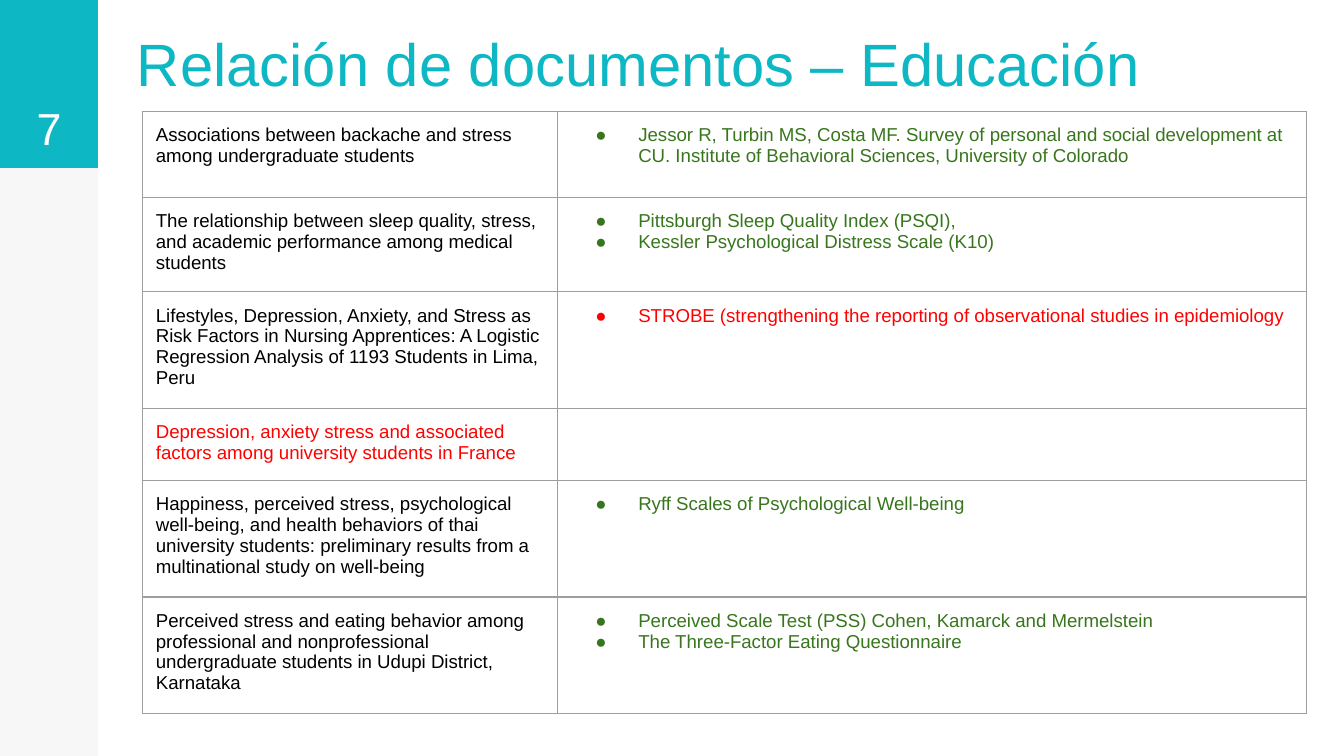
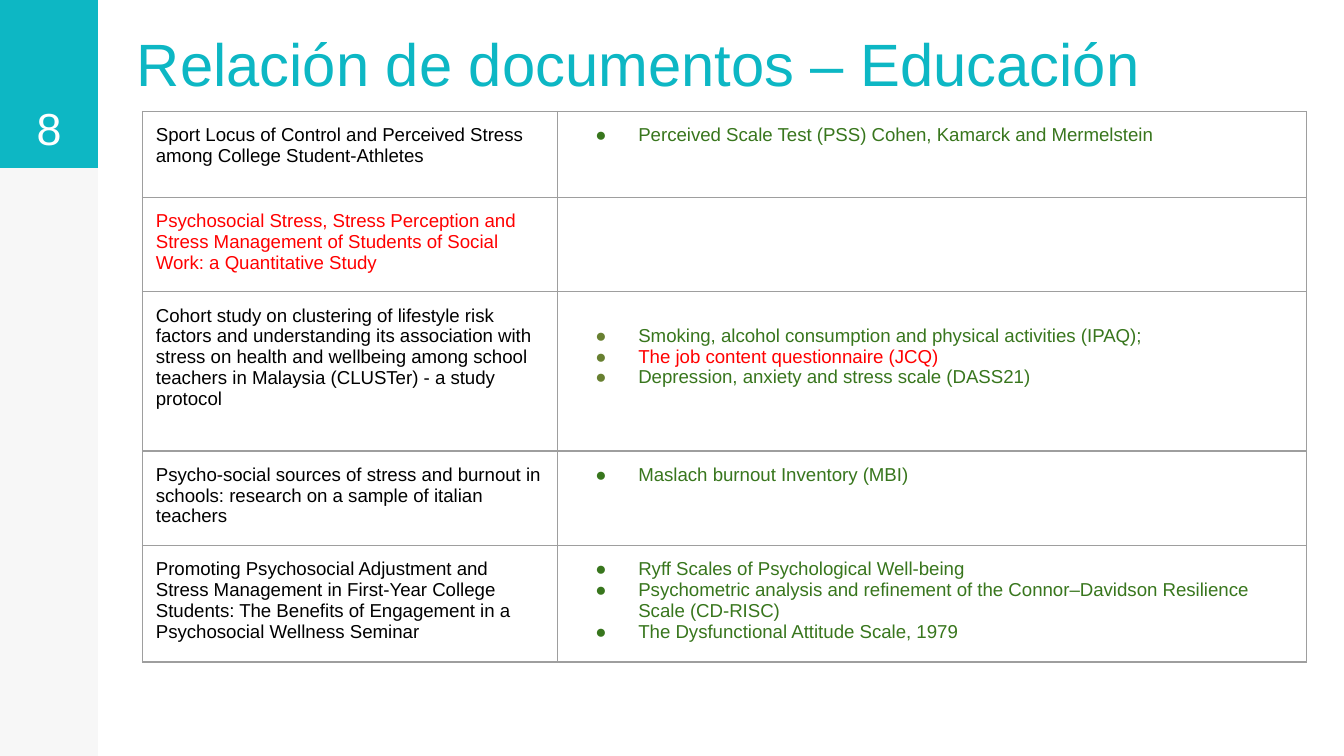
from pptx import Presentation
from pptx.dml.color import RGBColor
from pptx.enum.shapes import MSO_SHAPE as Shape
from pptx.enum.text import MSO_ANCHOR as Anchor, PP_ALIGN as Align
from pptx.oxml import parse_xml
from pptx.oxml.ns import nsdecls
from pptx.util import Inches, Pt

TEAL = RGBColor(0x0D, 0xB7, 0xC4)
BLACK = RGBColor(0x00, 0x00, 0x00)
WHITE = RGBColor(0xFF, 0xFF, 0xFF)
GREEN = RGBColor(0x38, 0x76, 0x1D)
OLIVE = RGBColor(0x68, 0x80, 0x31)
RED = RGBColor(0xFF, 0x00, 0x00)
GRAY = RGBColor(0x9E, 0x9E, 0x9E)

FONT = "Arial"
TITLE = "Relación de documentos – Educación"
WIDTH = 10
HEIGHT = WIDTH * 9 / 16
SIDE = (0, 0, 0.73, HEIGHT)
BADGE = (0, 0, 0.73, 1.25)
HEAD = (0.92, 0.09, 8.19, 0.74)
GRID = (1.06, 0.83, 8.65)
COLS = (3.09, 5.57)
ROWS = (0.64, 0.62, 0.47, 0.28, 0.28, 0.28)
INSET = 0.1
LINE = 0.15

STROBE = "STROBE (strengthening the reporting of observational studies in epidemiology"
JCQ = "The job content questionnaire (JCQ)"
PSS = "Perceived Scale Test (PSS) Cohen, Kamarck and Mermelstein"
RYFF = "Ryff Scales of Psychological Well-being"
ALERTS = {STROBE, JCQ}
COHORT = (
    "Cohort study on clustering of lifestyle risk factors and understanding its association "
    "with stress on health and wellbeing among school teachers in Malaysia (CLUSTer) - a study protocol"
)

PAGES = {
    7: (4.47, [
        ("Associations between backache and stress among undergraduate students",
         ["Jessor R, Turbin MS, Costa MF. Survey of personal and social development at CU. "
          "Institute of Behavioral Sciences, University of Colorado"]),
        ("The relationship between sleep quality, stress, and academic performance "
         "among medical students",
         ["Pittsburgh Sleep Quality Index (PSQI),",
          "Kessler Psychological Distress Scale (K10)"]),
        ("Lifestyles, Depression, Anxiety, and Stress as Risk Factors in Nursing "
         "Apprentices: A Logistic Regression Analysis of 1193 Students in Lima, Peru",
         [STROBE]),
        ("Depression, anxiety stress and associated factors among university "
         "students in France", []),
        ("Happiness, perceived stress, psychological well-being, and health behaviors "
         "of thai university students: preliminary results from a multinational study "
         "on well-being", [RYFF]),
        ("Perceived stress and eating behavior among professional and nonprofessional "
         "undergraduate students in Udupi District, Karnataka",
         [PSS, "The Three-Factor Eating Questionnaire"]),
    ]),
    8: (4.1, [
        ("Sport Locus of Control and Perceived Stress among College Student-Athletes",
         [PSS]),
        ("Psychosocial Stress, Stress Perception and Stress Management of Students "
         "of Social Work: a Quantitative Study", []),
        (COHORT,
         ["Smoking, alcohol consumption and physical activities (IPAQ);", JCQ,
          "Depression, anxiety and stress scale (DASS21)"]),
        ("Psycho-social sources of stress and burnout in schools: research on a sample "
         "of italian teachers", ["Maslach burnout Inventory (MBI)"]),
        ("Promoting Psychosocial Adjustment and Stress Management in First-Year College "
         "Students: The Benefits of Engagement in a Psychosocial Wellness Seminar",
         [RYFF,
          "Psychometric analysis and refinement of the Connor–Davidson Resilience Scale (CD-RISC)",
          "The Dysfunctional Attitude Scale, 1979"]),
    ]),
}


def style(para, size, color):
    font = para.font
    font.name, font.size = FONT, Pt(size)
    font.color.rgb = color


def add_band(slide, box, color, alpha=None):
    band = slide.shapes.add_shape(Shape.RECTANGLE, *map(Inches, box))
    band.shadow.inherit = False
    band.line.fill.background()
    band.fill.solid()
    band.fill.fore_color.rgb = color
    if alpha:
        tint = band.fill._xPr.find(".//{*}srgbClr")
        tint.append(parse_xml(f'<a:alpha {nsdecls("a")} val="{alpha * 1000}"/>'))


def add_label(slide, box, text, size, color, align=Align.LEFT):
    frame = slide.shapes.add_textbox(*map(Inches, box)).text_frame
    frame.word_wrap = True
    frame.vertical_anchor = Anchor.BOTTOM
    frame.margin_left = frame.margin_right = Inches(INSET)
    frame.margin_top = frame.margin_bottom = Inches(INSET)
    para = frame.paragraphs[0]
    para.text, para.alignment = text, align
    style(para, size, color)


def add_dot(para, color):
    props = para._p.get_or_add_pPr()
    props.set("marL", str(Inches(0.5)))
    props.set("indent", str(Inches(-0.32)))
    tags = (
        f'<a:buClr {nsdecls("a")}><a:srgbClr val="{color}"/></a:buClr>',
        f'<a:buFont {nsdecls("a")} typeface="{FONT}"/>',
        f'<a:buChar {nsdecls("a")} char="●"/>',
    )
    for spot, tag in enumerate(tags):
        props.insert(spot, parse_xml(tag))


def frame_cell(cell):
    props = cell._tc.get_or_add_tcPr()
    for side in "LRTB":
        props.append(parse_xml(
            f'<a:ln{side} {nsdecls("a")} w="{Pt(0.75)}"><a:solidFill>'
            f'<a:srgbClr val="{GRAY}"/></a:solidFill></a:ln{side}>'))
    cell.fill.background()
    cell.margin_left = cell.margin_right = Inches(INSET)
    cell.margin_top = cell.margin_bottom = Inches(INSET)


def fill_cell(cell, lines, colors, dots=None):
    frame_cell(cell)
    frame = cell.text_frame
    frame.text = "\n".join(lines)
    for para, color in zip(frame.paragraphs, colors):
        style(para, 10, color)
        if dots:
            add_dot(para, dots if dots == OLIVE else color)


def add_grid(slide, box, rows):
    shape = slide.shapes.add_table(len(rows), 2, *map(Inches, box))
    table = shape.table
    table.first_row = table.horz_banding = False
    for col, width in zip(table.columns, COLS):
        col.width = Inches(width)
    for index, (study, scales) in enumerate(rows):
        table.rows[index].height = Inches(ROWS[index])
        left, right = table.cell(index, 0), table.cell(index, 1)
        fill_cell(left, [study], [BLACK if scales else RED])
        colors = [RED if scale in ALERTS else GREEN for scale in scales] or [BLACK]
        dots = OLIVE if study == COHORT else GREEN
        fill_cell(right, scales, colors, dots if scales else None)
        if study == COHORT:
            left.margin_bottom = right.margin_top = Inches(INSET + LINE)
    shape.width, shape.height = map(Inches, box[2:])


def add_page(deck, number, height, rows):
    slide = deck.slides.add_slide(deck.slide_layouts[6])
    add_band(slide, SIDE, BLACK, 3)
    add_band(slide, BADGE, TEAL)
    add_label(slide, BADGE, str(number), 24, WHITE, Align.CENTER)
    add_label(slide, HEAD, TITLE, 32, TEAL)
    add_grid(slide, (*GRID, height), rows)


def main():
    deck = Presentation()
    deck.slide_width, deck.slide_height = Inches(WIDTH), Inches(HEIGHT)
    for number, (height, rows) in PAGES.items():
        add_page(deck, number, height, rows)
    deck.save("out.pptx")


if __name__ == "__main__":
    main()
